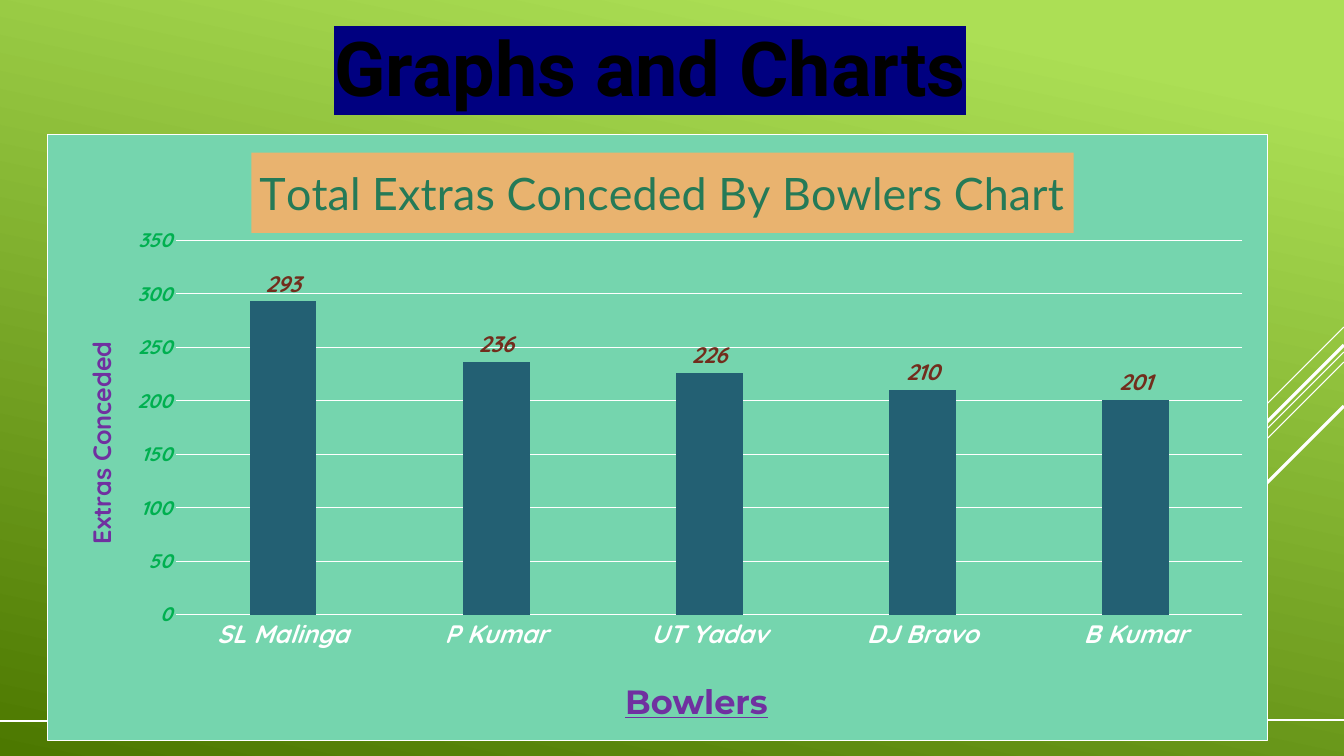
from lxml import etree
from pptx import Presentation
from pptx import util as u
from pptx.chart.data import CategoryChartData
from pptx.dml.color import RGBColor
from pptx.enum import chart as ch, shapes, text
from pptx.oxml import parse_xml
from pptx.oxml.ns import nsdecls, qn

TITLE = "Graphs and Charts"
CHART_TITLE = "Total Extras Conceded By Bowlers Chart"
CATEGORY_TITLE, VALUE_TITLE = "Bowlers", "Extras Conceded"
EXTRAS = {"SL Malinga": 293, "P Kumar": 236, "UT Yadav": 226, "DJ Bravo": 210, "B Kumar": 201}

COLORS = {
    "light": "ACDF55", "dark": "4C7800", "white": "FFFFFF", "black": "000000",
    "navy": "000080", "mint": "75D5AE", "bar": "236073", "label": "722D1D",
    "green": "00B050", "purple": "7030A0", "heading": "257A57", "orange": "E9B36F",
}

# Lengths in px
WIDTH, HEIGHT = 1344, 756
TITLE_BOX = (234, 15, 832, 102)
CHART_BOX = (47, 134, 1221, 607)
PLOT_BOX = (176, 240, 1067, 375)
CHART_TITLE_AT, CATEGORY_TITLE_AT, VALUE_TITLE_AT = (251, 152), (619, 672), (78, 337)
DIAGONALS = [(327, 101, 0.75), (352, 329, 0.75), (362, 209, 0.75),
             (345, 193, 2.25), (406, 140, 2.25)]  # top at right edge, run, weight
FLOOR_LINES = [(0, 93, 721), (133, 592, 721), (750, 1173, 720), (1243, 1344, 720)]


def px(length):
    return u.Emu(round(length * 914400 / 100.8))


def rgb(name):
    return RGBColor.from_string(COLORS[name])


def style(font, size, color, name, bold=False, italic=False):
    font.size, font.name, font.bold, font.italic = u.Pt(size), name, bold, italic
    font.color.rgb = rgb(color)


def add_line(slide, x1, y1, x2, y2, weight):
    line = slide.shapes.add_connector(
        shapes.MSO_CONNECTOR.STRAIGHT, px(x1), px(y1), px(x2), px(y2))
    line.line.color.rgb = rgb("white")
    line.line.width = u.Pt(weight)
    etree.SubElement(line._element.spPr, qn("a:effectLst"))


def manual_layout(x, y, width=None, height=None):
    """Chart layout element for a place given in slide px."""
    left, top, chart_width, chart_height = CHART_BOX
    values = {"x": (x - left) / chart_width, "y": (y - top) / chart_height}
    target = ""
    if width:
        target = '<c:layoutTarget val="inner"/>'
        values.update(w=width / chart_width, h=height / chart_height)
    modes = '<c:xMode val="edge"/><c:yMode val="edge"/>'
    places = "".join(f'<c:{key} val="{value:.4f}"/>' for key, value in values.items())
    return parse_xml(f'<c:layout {nsdecls("c")}><c:manualLayout>{target}{modes}{places}'
                     '</c:manualLayout></c:layout>')


def set_layout(element, layout, index):
    for old in element.findall(qn("c:layout")):
        element.remove(old)
    element.insert(index, layout)


def write_title(title, wording, place, *font_style):
    """Fill a chart or axis title, place it and return its font."""
    title.text_frame.text = wording
    font = title.text_frame.paragraphs[0].runs[0].font
    style(font, *font_style)
    set_layout(title._element, manual_layout(*place), 1)
    return font


def add_background(slide):
    fill = slide.background.fill
    fill.gradient()
    fill.gradient_angle = 258
    for stop, (position, color) in zip(fill.gradient_stops, [(0.1, "light"), (1, "dark")]):
        stop.position = position
        stop.color.rgb = rgb(color)
    for top, run, weight in DIAGONALS:
        add_line(slide, WIDTH, top, WIDTH - run, top + run, weight)
    for start, end, y in FLOOR_LINES:
        add_line(slide, start, y, end, y, 1)


def add_title(slide):
    title = slide.shapes.title
    title.left, title.top, title.width, title.height = map(px, TITLE_BOX)
    frame = title.text_frame
    frame.text = TITLE
    frame.word_wrap = True
    frame.vertical_anchor = text.MSO_ANCHOR.MIDDLE
    paragraph = frame.paragraphs[0]
    paragraph.alignment = text.PP_ALIGN.CENTER
    font = paragraph.runs[0].font
    style(font, 54, "black", "Roboto", bold=True)
    highlight = parse_xml(f'<a:highlight {nsdecls("a")}><a:srgbClr val="{COLORS["navy"]}"/>'
                          '</a:highlight>')
    font._element.find(qn("a:solidFill")).addnext(highlight)


def add_extras_chart(slide):
    data = CategoryChartData()
    data.categories = list(EXTRAS)
    data.add_series("Series 1", list(EXTRAS.values()))
    chart = slide.shapes.add_chart(
        ch.XL_CHART_TYPE.COLUMN_CLUSTERED, *map(px, CHART_BOX), data).chart
    chart.has_legend = False
    style(chart.font, 10, "white", "Quicksand")

    chart.has_title = True
    write_title(chart.chart_title, CHART_TITLE, CHART_TITLE_AT, 32, "heading", "Lato")
    fill = chart.chart_title.format.fill
    fill.solid()
    fill.fore_color.rgb = rgb("orange")

    plot = chart.plots[0]
    plot.gap_width, plot.overlap, plot.vary_by_categories = 219, -27, False
    bars = plot.series[0].format.fill
    bars.solid()
    bars.fore_color.rgb = rgb("bar")
    plot.has_data_labels = True
    labels = plot.data_labels
    labels.show_value = True
    labels.position = ch.XL_LABEL_POSITION.OUTSIDE_END
    style(labels.font, 16, "label", "Quicksand", True, True)

    categories, values = chart.category_axis, chart.value_axis
    for axis, size, color in [(categories, 18, "white"), (values, 14, "green")]:
        axis.major_tick_mark = axis.minor_tick_mark = ch.XL_TICK_MARK.NONE
        style(axis.tick_labels.font, size, color, "Quicksand", True, True)
    values.minimum_scale, values.maximum_scale, values.major_unit = 0, 350, 50
    values.format.line.fill.background()
    values.has_major_gridlines = True
    for line in (categories.format.line, values.major_gridlines.format.line):
        line.color.rgb = rgb("white")
        line.width = u.Pt(0.75)

    font = write_title(categories.axis_title, CATEGORY_TITLE, CATEGORY_TITLE_AT,
                       24, "purple", "Montserrat", True)
    font.underline = True
    write_title(values.axis_title, VALUE_TITLE, VALUE_TITLE_AT,
                18, "purple", "Quicksand", True)
    body = values.axis_title.text_frame._txBody.bodyPr
    body.set("rot", "-5400000")
    body.set("vert", "horz")

    chart_element = chart._chartSpace.chart
    set_layout(chart_element.plotArea, manual_layout(*PLOT_BOX), 0)
    solid = '<a:solidFill><a:srgbClr val="{}"/></a:solidFill>'
    chart_element.addnext(parse_xml(
        f'<c:spPr {nsdecls("c", "a")}>{solid.format(COLORS["mint"])}'
        f'<a:ln w="9525">{solid.format(COLORS["white"])}</a:ln></c:spPr>'))


def main():
    presentation = Presentation()
    presentation.slide_width, presentation.slide_height = px(WIDTH), px(HEIGHT)
    slide = presentation.slides.add_slide(presentation.slide_layouts[5])
    add_background(slide)
    add_extras_chart(slide)
    add_title(slide)
    presentation.save("out.pptx")


if __name__ == "__main__":
    main()
